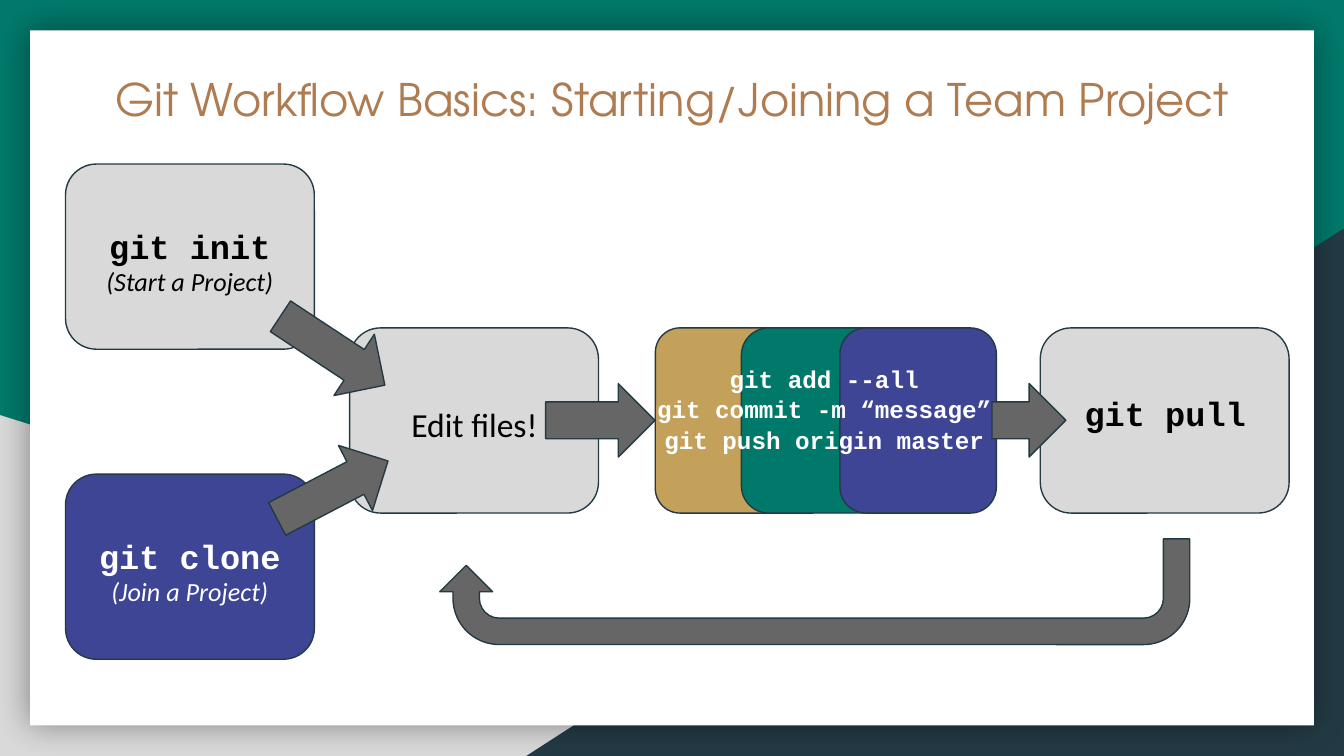
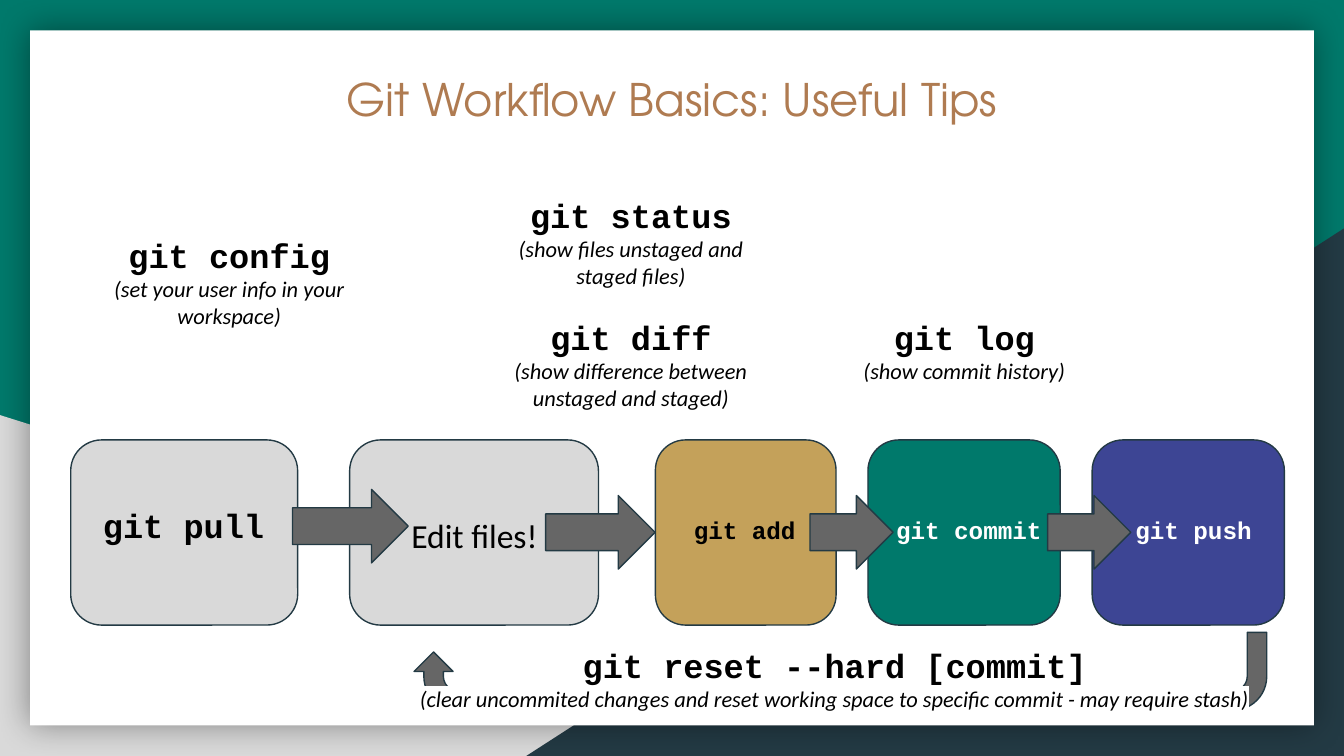
"""Build two slides that explain the basic Git workflow."""
from dataclasses import dataclass

from lxml import etree
from pptx import Presentation
from pptx import util as u
from pptx.dml.color import RGBColor
from pptx.enum import shapes, text
from pptx.oxml.ns import qn


@dataclass(frozen=True)
class Theme:
    green: str = "00796B"
    navy: str = "233A44"
    gray: str = "D9D9D9"
    arrow: str = "666666"
    gold: str = "C4A15A"
    blue: str = "3D4594"
    copper: str = "AF7B51"
    white: str = "FFFFFF"
    black: str = "000000"
    title_font: str = "TeX Gyre Adventor"
    body_font: str = "Calibri"
    code_font: str = "Courier New"
    title_size: float = 24
    large_size: float = 18
    note_size: float = 14
    small_size: float = 13
    hint_size: float = 12


theme = Theme()
styles = {
    "title": dict(font=theme.title_font, size=theme.title_size),
    "step": dict(font=theme.body_font, size=theme.large_size),
    "command": dict(font=theme.code_font, size=theme.large_size, bold=True),
    "small": dict(font=theme.code_font, size=theme.small_size, bold=True),
    "stacked": dict(font=theme.code_font, size=theme.small_size, bold=True, spacing=1.05),
    "note": dict(font=theme.body_font, size=theme.note_size, italic=True),
    "hint": dict(font=theme.body_font, size=theme.hint_size, italic=True),
}
preset = shapes.MSO_SHAPE


def draw(slide, kind, left, top, width, height, fill, line=theme.navy, rotation=0):
    shape = slide.shapes.add_shape(kind, u.Pt(left), u.Pt(top), u.Pt(width), u.Pt(height))
    shape.shadow.inherit = False
    shape.fill.solid()
    shape.fill.fore_color.rgb = RGBColor.from_string(fill)
    if line:
        shape.line.color.rgb = RGBColor.from_string(line)
        shape.line.width = u.Pt(0.75)
    else:
        shape.line.fill.background()
    shape.rotation = rotation
    return shape


def write(frame, words, font, size, color=theme.black, bold=False, italic=False,
          spacing=1.0, highlight=None):
    frame.word_wrap = True
    frame.auto_size = text.MSO_AUTO_SIZE.NONE
    frame.vertical_anchor = text.MSO_ANCHOR.BOTTOM
    frame.margin_left = frame.margin_right = u.Pt(7.2)
    frame.margin_top = frame.margin_bottom = u.Pt(7.2)
    paragraph = frame.add_paragraph() if frame.text else frame.paragraphs[0]
    paragraph.alignment = text.PP_ALIGN.CENTER
    paragraph.line_spacing = spacing
    run = paragraph.add_run()
    run.text = words
    run.font.size = u.Pt(size)
    run.font.bold = bold
    run.font.italic = italic
    run.font.color.rgb = RGBColor.from_string(color)
    run.font.name = font
    if highlight:
        marker = etree.Element(qn("a:highlight"))
        etree.SubElement(marker, qn("a:srgbClr"), val=highlight)
        run.font.fill  
        run._r.rPr.find(qn("a:latin")).addprevious(marker)


box_height = 99.2
label_height = 57.6
arrow_height = 39.4
start_row = 175.7
tips_row = 235.7

contents = [
    dict(
        title="Git Workflow Basics: Starting/Joining a Team Project",
        loop=(235.6, 288.7, 401.8, 56.6),
        boxes=[
            (187.3, start_row, 133.3, theme.gray),
            (35.1, 254, 133.3, theme.blue),
            (35.1, 87.9, 133.3, theme.gray),
            (351.1, start_row, 79.2, theme.gold),
            (397.2, start_row, 88, theme.green),
            (450, start_row, 83.8, theme.blue),
            (557.3, start_row, 133.3, theme.gray),
        ],
        labels=[
            (193, 187.4, 122.4, theme.black, None, [("Edit files!", "step")]),
            (40.5, 274.9, 122.4, theme.white, None,
             [("git clone", "command"), ("(Join a Project)", "note")]),
            (40.5, 108.8, 122.4, theme.black, None,
             [("git init", "command"), ("(Start a Project)", "note")]),
            (327.4, 193, 228.2, theme.white, None,
             [("git add --all", "stacked"), ("git commit -m “message”", "stacked"),
              ("git push origin master", "stacked")]),
            (547.2, 181.5, 154, theme.black, None, [("git pull", "command")]),
        ],
        arrows=[
            (144.7, 168.2, 67, 33.4),
            (144.7, 242.8, 67, 332.4),
            (292.3, 205.5, 58.6, 0),
            (531.4, 205.5, 39.6, 0),
        ],
    ),
    dict(
        title="Git Workflow Basics: Useful Tips",
        loop=(221.8, 338.8, 456.8, 41.8),
        boxes=[
            (187.3, tips_row, 133.3, theme.gray),
            (351.1, tips_row, 96.8, theme.gold),
            (465, tips_row, 103, theme.green),
            (585.1, tips_row, 103, theme.blue),
            (37.9, tips_row, 121.6, theme.gray),
        ],
        labels=[
            (193, 247.2, 122.4, theme.black, None, [("Edit files!", "step")]),
            (358.6, 241.5, 80.6, theme.black, None, [("git add", "small")]),
            (28.1, 241.5, 140.4, theme.black, None, [("git pull", "command")]),
            (472, 241.5, 94, theme.white, None, [("git commit", "small")]),
            (594, 241.5, 90.7, theme.white, None, [("git push", "small")]),
            (52.6, 126, 140.4, theme.black, None,
             [("git config", "command"), ("(set your user info in your workspace)", "hint")]),
            (267.8, 104.4, 140.4, theme.black, None,
             [("git status", "command"), ("(show files unstaged and staged files)", "hint")]),
            (267.8, 169.9, 140.4, theme.black, None,
             [("git diff", "command"),
              ("(show difference between unstaged and staged)", "hint")]),
            (446.4, 155.6, 140.4, theme.black, None,
             [("git log", "command"), ("(show commit history)", "hint")]),
            (211, 331.2, 472.3, theme.black, theme.white,
             [("git reset --hard [commit]", "command"),
              ("(clear uncommited changes and reset working space to specific commit"
               " - may require stash)", "hint")]),
        ],
        arrows=[
            (292.3, 265.5, 58.6, 0),
            (156.7, 262.2, 62, 0),
            (433.9, 265.5, 44.6, 0),
            (561.2, 265.5, 44.6, 0),
        ],
    ),
]

presentation = Presentation()
presentation.slide_width = u.Pt(720)
presentation.slide_height = u.Pt(405)
background = presentation.slide_master.background.fill
background.solid()
background.fore_color.rgb = RGBColor.from_string(theme.green)
layout = presentation.slide_layouts.get_by_name("Title Only")
slides = [presentation.slides.add_slide(layout) for content in contents]

left_corner = draw(slides[0], preset.RIGHT_TRIANGLE, 0, 222.4, 580.4, 182.6, theme.gray, None)
right_corner = draw(slides[0], preset.RIGHT_TRIANGLE, 282, 122.4, 438, 282.6, theme.navy, None)
right_corner.element.spPr.xfrm.set("flipH", "1")
panel = draw(slides[0], preset.RECTANGLE, 16.1, 16.3, 687.8, 372.4, theme.white, None)
shadow = etree.SubElement(panel.element.spPr.find(qn("a:effectLst")), qn("a:outerShdw"),
                          blurRad=str(u.Pt(18)), dist="0", dir="0", algn="ctr", rotWithShape="0")
shadow_color = etree.SubElement(shadow, qn("a:srgbClr"), val=theme.black)
etree.SubElement(shadow_color, qn("a:alpha"), val="40000")
for position, shape in enumerate([left_corner, right_corner, panel], start=2):
    layout.element.cSld.spTree.insert(position, shape.element)

for slide, content in zip(slides, contents):
    title = slide.shapes.title
    title.left, title.top, title.width, title.height = map(u.Pt, (32.2, 26.8, 655.6, 47.4))
    write(title.text_frame, content["title"], color=theme.copper, **styles["title"])
    draw(slide, preset.U_TURN_ARROW, *content["loop"], theme.arrow, rotation=180)
    for left, top, width, fill in content["boxes"]:
        draw(slide, preset.ROUNDED_RECTANGLE, left, top, width, box_height, fill)
    for left, top, width, color, highlight, lines in content["labels"]:
        label = slide.shapes.add_textbox(u.Pt(left), u.Pt(top), u.Pt(width), u.Pt(label_height))
        for words, style in lines:
            write(label.text_frame, words, color=color, highlight=highlight, **styles[style])
    for left, top, width, rotation in content["arrows"]:
        draw(slide, preset.RIGHT_ARROW, left, top, width, arrow_height, theme.arrow,
             rotation=rotation)

presentation.save("out.pptx")
